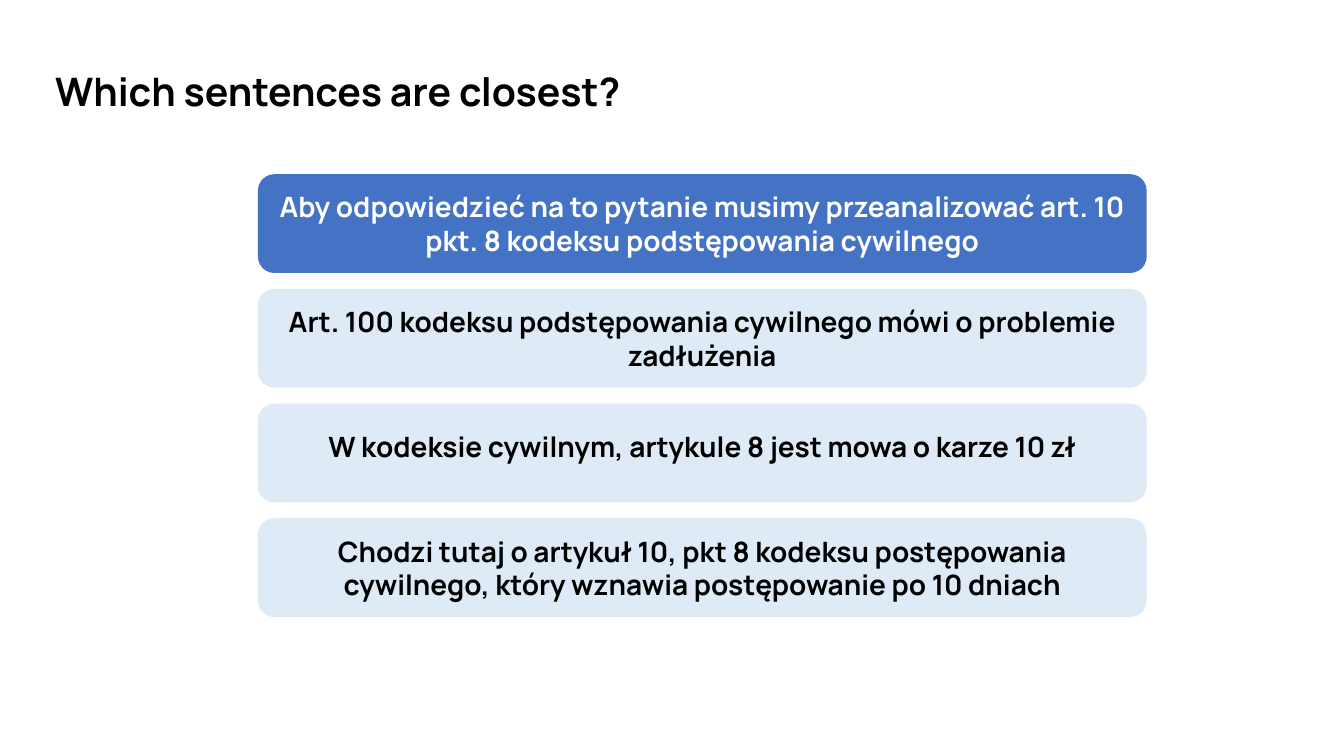
from pptx import Presentation
from pptx import util as u
from pptx.dml.color import RGBColor
from pptx.enum import shapes, text

BLACK = RGBColor(0x00, 0x00, 0x00)
WHITE = RGBColor(0xFF, 0xFF, 0xFF)
BLUE = RGBColor(0x44, 0x72, 0xC4)
PALE = RGBColor(0xDE, 0xEB, 0xF7)
FONT = "Manrope"

QUERY = "Aby odpowiedzieć na to pytanie musimy przeanalizować art. 10 pkt. 8 kodeksu podstępowania cywilnego"
CHOICES = [
    ("Art. 100 kodeksu podstępowania cywilnego mówi o problemie zadłużenia", None),
    ("W kodeksie cywilnym, artykule 8 jest mowa o karze 10 zł", u.Pt(14.2)),
    ("Chodzi tutaj o artykuł 10, pkt 8 kodeksu postępowania cywilnego, który wznawia postępowanie po 10 dniach", None),
]


def write(frame, words, size, color):
    frame.word_wrap = True
    frame.text = words
    line = frame.paragraphs[0]
    font = line.runs[0].font
    font.name, font.size, font.bold = FONT, u.Pt(size), True
    font.color.rgb = color
    return line


def add_title(slide, box, words):
    frame = slide.shapes.add_textbox(*box).text_frame
    write(frame, words, 28, BLACK)
    frame.auto_size = text.MSO_AUTO_SIZE.SHAPE_TO_FIT_TEXT


def add_card(slide, box, words, fill, color, pitch):
    card = slide.shapes.add_shape(shapes.MSO_SHAPE.ROUNDED_RECTANGLE, *box)
    card.shadow.inherit = False
    card.fill.solid()
    card.fill.fore_color.rgb = fill
    card.line.fill.background()
    card.text_frame.vertical_anchor = text.MSO_ANCHOR.MIDDLE
    line = write(card.text_frame, words, 20, color)
    line.alignment = text.PP_ALIGN.CENTER
    line.line_spacing = pitch


def add_stack(slide, box, gap):
    left, top, width, height = box
    cards = [(QUERY, BLUE, WHITE, None)]
    cards += [(words, PALE, BLACK, pitch) for words, pitch in CHOICES]
    tall = (height - gap * (len(cards) - 1)) // len(cards)
    for row, card in enumerate(cards):
        add_card(slide, (left, top + row * (tall + gap), width, tall), *card)


def main():
    deck = Presentation()
    deck.slide_width, deck.slide_height = u.Cm(33.87), u.Cm(19.05)
    slide = deck.slides.add_slide(deck.slide_layouts[6])
    add_title(slide, (u.Cm(1.14), u.Cm(1.57), u.Cm(31.6), u.Cm(1.45)),
              "Which sentences are closest?")
    add_stack(slide, (u.Cm(6.5), u.Cm(4.39), u.Cm(22.4), u.Cm(11.16)), u.Cm(0.4))
    deck.save("out.pptx")


if __name__ == "__main__":
    main()
